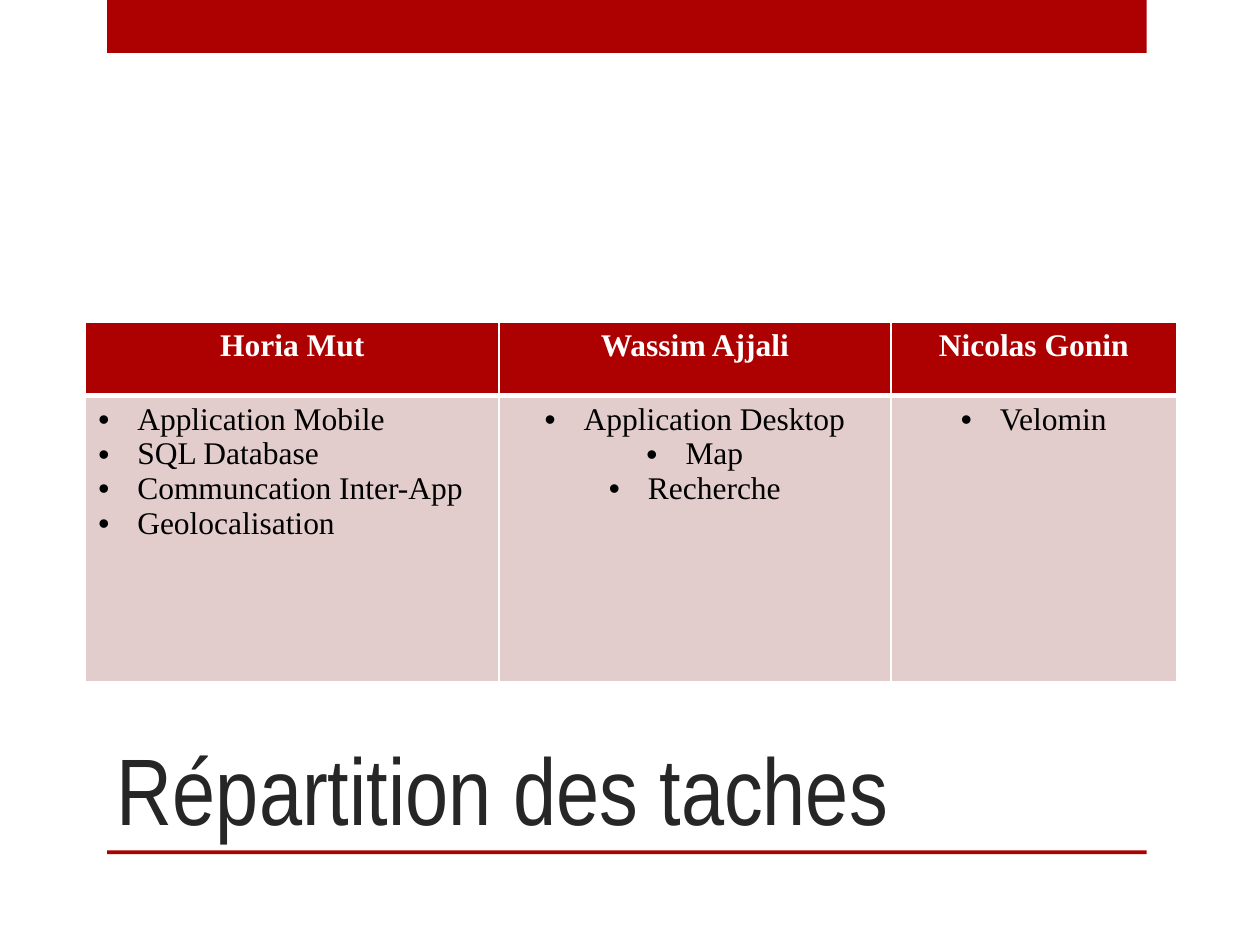
from pptx import Presentation
from pptx.dml.color import RGBColor
from pptx.enum.shapes import MSO_SHAPE as Shape
from pptx.enum.text import MSO_ANCHOR as Anchor, PP_ALIGN as Align
from pptx.oxml.ns import qn
from pptx.util import Inches, Pt
from lxml.etree import SubElement as add_el, Element

RED, PINK, WHITE, BLACK, GREY = "AD0101", "E3CCCC", "FFFFFF", "000000", "262626"
WIDE, HIGH = 10, 7.5
TASKS = {
    "Horia Mut": ["Application Mobile", "SQL Database",
                  "Communcation Inter-App", "Geolocalisation"],
    "Wassim Ajjali": ["Application Desktop", "Map", "Recherche"],
    "Nicolas Gonin": ["Velomin"],
}
COLS = (3.28, 3.11, 2.27)
ROWS = (0.58, 2.27)


def color(code):
    return RGBColor.from_string(code)


def style(para, size, face, code, bold=False):
    for run in para.runs:
        font = run.font
        font.size, font.name, font.bold = Pt(size), face, bold
        font.color.rgb = color(code)


def bar(slide, left, top, width, height):
    shape = slide.shapes.add_shape(Shape.RECTANGLE, *map(Inches, (left, top, width, height)))
    shape.shadow.inherit = False
    shape.fill.solid()
    shape.fill.fore_color.rgb = color(RED)
    shape.line.fill.background()


def frame(slide, left, top, width, height):
    # Band at the top edge, thin rule under the title
    bar(slide, left, top, width, 0.42)
    bar(slide, left, top + height - 0.03, width, 0.03)


def title(slide, left, top, width, height, text):
    box = slide.shapes.add_textbox(*map(Inches, (left, top, width, height)))
    body = box.text_frame
    body.word_wrap = True
    body.vertical_anchor = Anchor.BOTTOM
    body.text = text
    style(body.paragraphs[0], 54, "Arial Narrow", GREY)


def bullet(para):
    props = para._p.get_or_add_pPr()
    props.set("marL", str(Inches(0.31)))
    props.set("indent", str(-Inches(0.31)))
    add_el(props, qn("a:buFont"), typeface="Arial")
    add_el(props, qn("a:buChar"), char="•")


def border(cell, sides):
    # Border lines come before the fill in the cell's properties
    props = cell._tc.get_or_add_tcPr()
    for i, (side, size) in enumerate(sides.items()):
        line = Element(qn("a:ln" + side), w=str(Pt(size)))
        fill = add_el(line, qn("a:solidFill"))
        add_el(fill, qn("a:srgbClr"), val=WHITE)
        props.insert(i, line)


def fill_cell(cell, lines, head, align):
    cell.fill.solid()
    cell.fill.fore_color.rgb = color(RED if head else PINK)
    border(cell, {"L": 1, "R": 1, "T": 1 if head else 3, "B": 3 if head else 1})
    cell.text_frame.text = "\n".join(lines)
    for para in cell.text_frame.paragraphs:
        para.alignment = align
        style(para, 18, "Times New Roman", WHITE if head else BLACK, head)
        if not head:
            bullet(para)


def task_table(slide, left, top, cols, rows, tasks):
    box = map(Inches, (left, top, sum(cols), sum(rows)))
    table = slide.shapes.add_table(len(rows), len(cols), *box).table
    for row, height in zip(table.rows, rows):
        row.height = Inches(height)
    for i, (name, jobs) in enumerate(tasks.items()):
        table.columns[i].width = Inches(cols[i])
        fill_cell(table.cell(0, i), [name], True, Align.CENTER)
        fill_cell(table.cell(1, i), jobs, False, Align.CENTER if i else Align.LEFT)


def main():
    deck = Presentation()
    deck.slide_width, deck.slide_height = Inches(WIDE), Inches(HIGH)
    slide = deck.slides.add_slide(deck.slide_layouts[6])
    frame(slide, 0.085 * WIDE, 0, 0.825 * WIDE, 0.904 * HIGH)
    title(slide, 0.083 * WIDE, HIGH * 2 / 3, 0.742 * WIDE, 1.75, "Répartition des taches")
    task_table(slide, 0.068 * WIDE, 2.56, COLS, ROWS, TASKS)
    deck.save("out.pptx")


if __name__ == "__main__":
    main()
